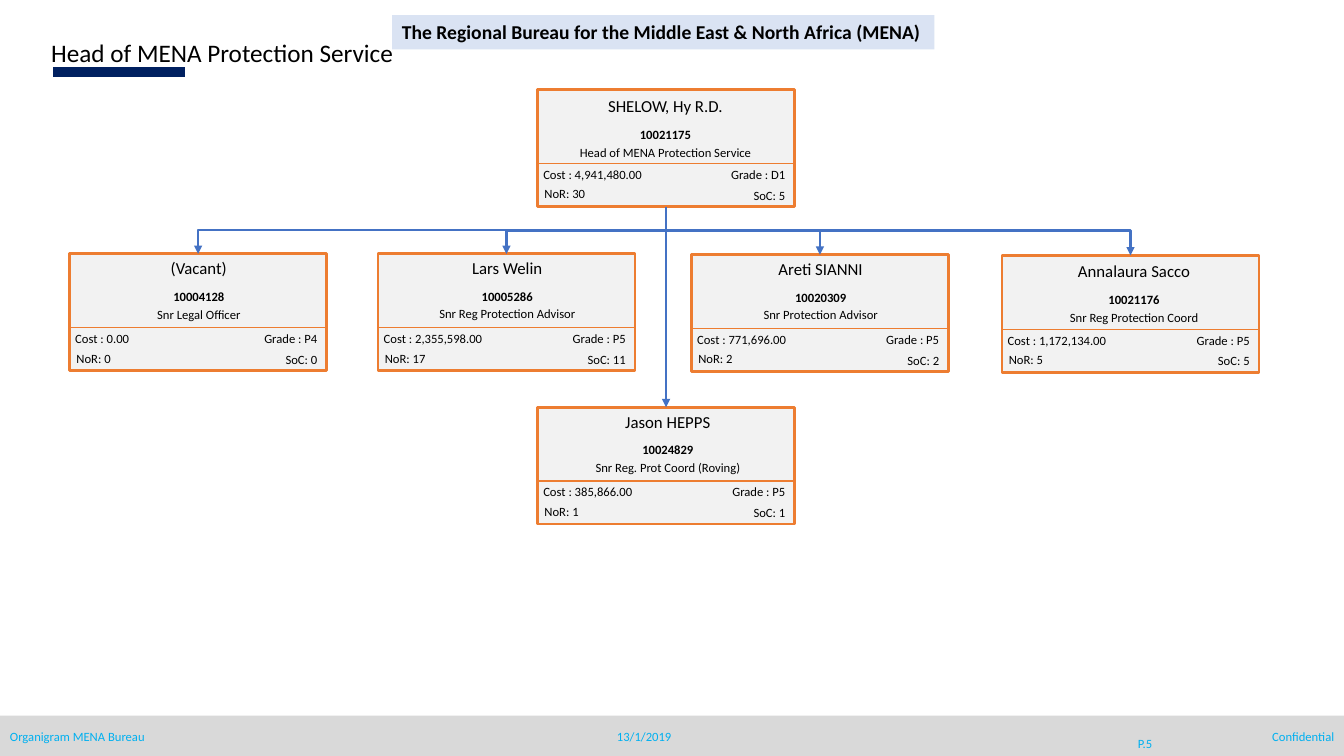
from dataclasses import dataclass

from lxml.etree import SubElement
from pptx import Presentation
from pptx.dml.color import RGBColor
from pptx.enum.shapes import MSO_CONNECTOR as Link, MSO_SHAPE as Shape
from pptx.enum.text import MSO_ANCHOR as Anchor, MSO_AUTO_SIZE as AutoSize, PP_ALIGN as Align
from pptx.oxml.ns import qn
from pptx.util import Pt


@dataclass(frozen=True)
class Theme:
    font: str = "Calibri"
    text: str = "000000"
    navy: str = "002060"
    orange: str = "ED7D31"
    blue: str = "4472C4"
    footer_text: str = "00B0F0"
    footer_fill: str = "D9D9D9"
    card_fill: str = "F2F2F2"
    banner_fill: str = "DAE3F3"
    heading: int = 18
    banner: int = 14
    name: int = 12
    small: int = 9


@dataclass(frozen=True)
class Post:
    left: float
    top: float
    shift: float
    drop: float
    name: str
    number: str
    title: str
    cost: str
    grade: str
    reports: int
    span_of_control: int


THEME = Theme()
WIDTH, HEIGHT = 960, 540
CARD_WIDTH, CARD_HEIGHT = 183.6, 83.5
BUS = 164.6

HEAD = Post(384, 64.1, -0.5, 1.6, "SHELOW, Hy R.D.", "10021175",
            "Head of MENA Protection Service", "4,941,480.00", "D1", 30, 5)
LEGAL = Post(49.7, 181.4, 0.5, 0, "(Vacant)", "10004128",
             "Snr Legal Officer", "0.00", "P4", 0, 0)
ADVISOR = Post(270, 181.4, 0.5, -0.2, "Lars Welin", "10005286",
               "Snr Reg Protection Advisor", "2,355,598.00", "P5", 17, 11)
PROTECTION = Post(493.9, 182, 0.5, 0, "Areti SIANNI", "10020309",
                  "Snr Protection Advisor", "771,696.00", "P5", 2, 2)
COORDINATOR = Post(715.7, 182.5, 2.5, 1, "Annalaura Sacco", "10021176",
                   "Snr Reg Protection Coord", "1,172,134.00", "P5", 5, 5)
ROVING = Post(384, 290.9, 1.2, 0, "Jason HEPPS", "10024829",
              "Snr Reg. Prot Coord (Roving)", "385,866.00", "P5", 1, 1)


def color(value):
    return RGBColor.from_string(value)


def add_text(page, left, top, width, height, text, size=THEME.small, tint=THEME.text,
             bold=False, align=Align.LEFT, anchor=Anchor.TOP, wrap=True):
    box = page.shapes.add_textbox(Pt(left), Pt(top), Pt(width), Pt(height))
    frame = box.text_frame
    frame.text = text
    frame.word_wrap = wrap
    frame.auto_size = AutoSize.SHAPE_TO_FIT_TEXT
    frame.vertical_anchor = anchor
    para = frame.paragraphs[0]
    para.alignment = align
    for span in para.runs:
        span.font.name = THEME.font
        span.font.size = Pt(size)
        span.font.bold = bold
        span.font.color.rgb = color(tint)
    return box


def add_rectangle(page, left, top, width, height, fill, outline=None):
    box = page.shapes.add_shape(Shape.RECTANGLE, Pt(left), Pt(top), Pt(width), Pt(height))
    box.shadow.inherit = False
    box.fill.solid()
    box.fill.fore_color.rgb = color(fill)
    if outline:
        box.line.color.rgb = color(outline)
        box.line.width = Pt(2)
    else:
        box.line.fill.background()
    return box


def add_line(page, start, end, tint, weight, kind=Link.STRAIGHT, arrow=False):
    line = page.shapes.add_connector(kind, *(Pt(value) for value in (*start, *end)))
    line.line.color.rgb = color(tint)
    line.line.width = Pt(weight)
    if arrow:
        SubElement(line.line._get_or_add_ln(), qn("a:tailEnd"), type="triangle")
    SubElement(line._element.spPr, qn("a:effectLst"))
    return line


def add_corner_arrow(page, start_x, post):
    end = post.left + CARD_WIDTH / 2, post.top
    arrow = add_line(page, (start_x, BUS), end, THEME.blue, 1.5, Link.ELBOW, True)
    arrow._element.spPr.find(qn("a:prstGeom")).set("prst", "bentConnector2")


def add_step_arrow(page, upper, lower):
    start_x, start_y = upper.left + CARD_WIDTH / 2, upper.top + CARD_HEIGHT
    end_x, end_y = lower.left + CARD_WIDTH / 2, lower.top
    middle_x, middle_y = (start_x + end_x) / 2, (start_y + end_y) / 2
    half_rise, half_run = (end_y - start_y) / 2, (start_x - end_x) / 2
    arrow = add_line(page, (middle_x - half_rise, middle_y - half_run),
                     (middle_x + half_rise, middle_y + half_run),
                     THEME.blue, 1.5, Link.ELBOW, True)
    arrow._element.spPr.find(qn("a:xfrm")).set("rot", str(90 * 60000))


def add_card(page, post):
    left, top = post.left, post.top
    right = left + CARD_WIDTH
    card = add_rectangle(page, left, top, CARD_WIDTH, CARD_HEIGHT,
                         THEME.card_fill, THEME.orange)
    add_line(page, (left, top + 52.7), (right, top + 52.7), THEME.orange, 1)
    headings = [(-0.5, 22, post.name, THEME.name, False),
                (21.3, 18, post.number, THEME.small, True),
                (34, 18, post.title, THEME.small, False)]
    for offset, height, text, size, bold in headings:
        add_text(page, left + post.shift, top + offset + post.drop, CARD_WIDTH, height,
                 text, size, bold=bold, align=Align.CENTER)
    add_text(page, left - 3, top + 51.5, 88.6, 18, f"Cost : {post.cost}")
    add_text(page, left - 2.2, top + 65.4, 56.9, 18, f"NoR: {post.reports}")
    add_text(page, right - 87.4, top + 51.5, 87.8, 18, f"Grade : {post.grade}",
             align=Align.RIGHT)
    add_text(page, right - 73, top + 66.2, 73.4, 18, f"SoC: {post.span_of_control}",
             align=Align.RIGHT)
    return card


def add_footer(page):
    add_rectangle(page, 0, 511.2, WIDTH, 28.8, THEME.footer_fill)
    labels = [(0, 221.8, 18, "Organigram MENA Bureau", Align.LEFT, Anchor.TOP),
              (738.2, 221.8, 18, "Confidential", Align.RIGHT, Anchor.TOP),
              (789.1, 57.6, 28.8, "P.5", Align.CENTER, Anchor.MIDDLE),
              (428.4, 63.4, 18, "13/1/2019", Align.CENTER, Anchor.MIDDLE)]
    for left, width, height, text, align, anchor in labels:
        add_text(page, left, 517, width, height, text, tint=THEME.footer_text,
                 align=align, anchor=anchor)


def add_titles(page):
    add_line(page, (38.2, 51.4), (132.5, 51.4), THEME.navy, 7)
    add_text(page, 29.5, 23, 381.6, 29.5, "Head of MENA Protection Service", THEME.heading)
    banner = add_text(page, 280, 10.8, 387.4, 24.5,
                      "The Regional Bureau for the Middle East & North Africa (MENA)",
                      THEME.banner, bold=True, wrap=False)
    banner.fill.solid()
    banner.fill.fore_color.rgb = color(THEME.banner_fill)


def main():
    deck = Presentation()
    deck.slide_width, deck.slide_height = Pt(WIDTH), Pt(HEIGHT)
    page = deck.slides.add_slide(deck.slide_layouts[6])
    add_footer(page)
    add_titles(page)
    head_card = add_card(page, HEAD)
    for post in (LEGAL, ADVISOR, PROTECTION, COORDINATOR):
        add_card(page, post)
    roving_card = add_card(page, ROVING)
    add_step_arrow(page, HEAD, LEGAL)
    for start_x, post in ((485, ADVISOR), (484, PROTECTION), (472.3, COORDINATOR)):
        add_corner_arrow(page, start_x, post)
    center = HEAD.left + CARD_WIDTH / 2
    trunk = add_line(page, (center, HEAD.top + CARD_HEIGHT), (center, ROVING.top),
                     THEME.blue, 1.5, arrow=True)
    trunk.begin_connect(head_card, 2)
    trunk.end_connect(roving_card, 0)
    deck.save("out.pptx")


if __name__ == "__main__":
    main()
